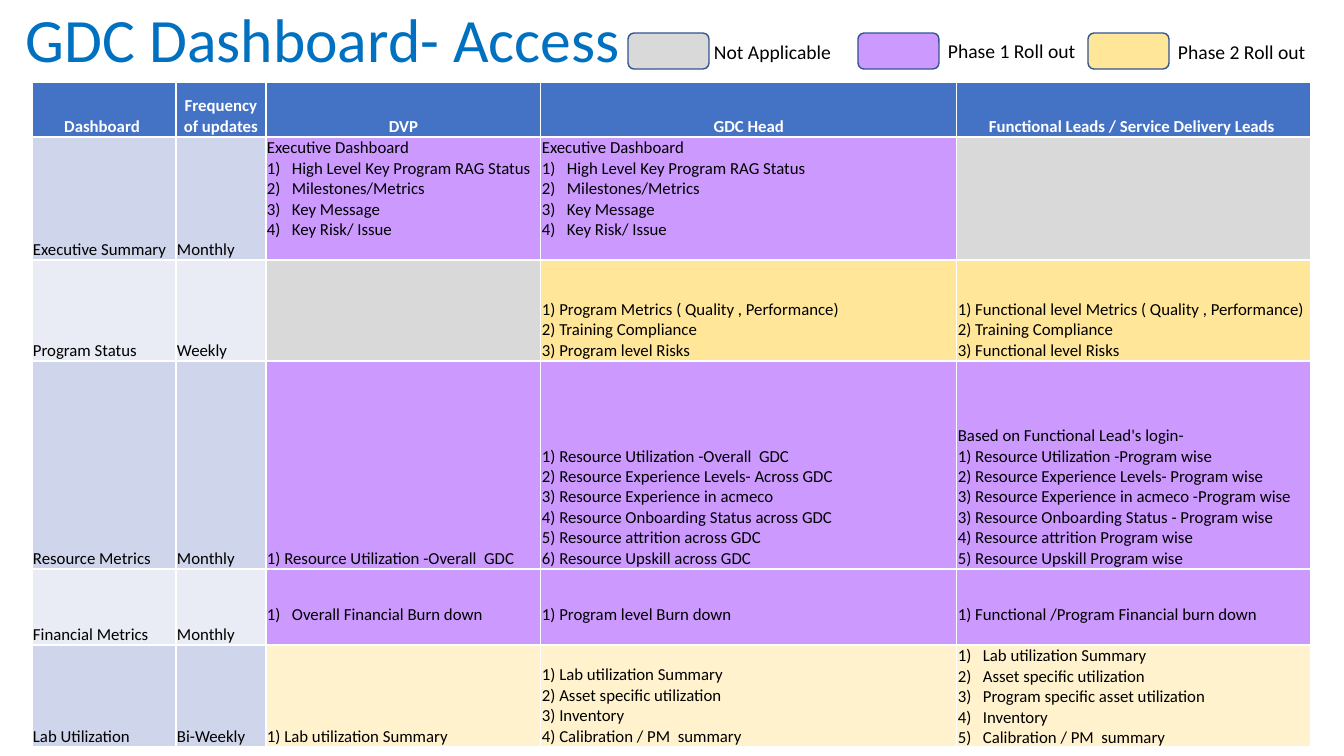
"""Build the GDC dashboard access slide."""
from collections import namedtuple
from dataclasses import dataclass

from lxml import etree
from pptx import Presentation, util as u
from pptx.dml.color import RGBColor
from pptx.enum import shapes, text
from pptx.oxml.ns import qn


@dataclass(frozen=True)
class Theme:
    font: str = "Calibri"
    title: str = "0070C0"
    header: str = "4472C4"
    white: str = "FFFFFF"
    ink: str = "000000"
    outline: str = "325491"
    unused: str = "D9D9D9"
    phase_1: str = "CC99FF"
    phase_2: str = "FFE699"
    phase_2_light: str = "FFF2CC"
    bands: tuple = ("CFD5EA", "E9EBF5")
    title_size: int = 44
    legend_size: int = 14
    table_size: int = 12


THEME = Theme()
Cell = namedtuple("Cell", "fill lines numbered lift", defaults=((), (), 0))
LINE_GAP = 20
NUMBER_INDENT = 25

TITLE = "GDC Dashboard- Access"
LEGEND = [
    ("Not Applicable", THEME.unused, (704, 35, 139)),
    ("Phase 1 Roll out", THEME.phase_1, (938, 34, 149)),
    ("Phase 2 Roll out", THEME.phase_2, (1168, 35, 149)),
]
LEGEND_LEFT, LEGEND_STEP = 628, 230
HEADINGS = ["Dashboard ", "Frequency of updates", "DVP", "GDC Head",
            "Functional Leads / Service Delivery Leads "]
COLUMN_WIDTHS = [144, 90, 275, 416, 354]
ROW_HEIGHTS = [55, 123, 101, 208, 76, 102]
NOT_APPLICABLE = Cell(THEME.unused)
EXECUTIVE = Cell(
    THEME.phase_1, ["Executive Dashboard"],
    ["High Level Key Program RAG Status", "Milestones/Metrics", "Key Message", "Key Risk/ Issue"],
    LINE_GAP)
ROWS = [
    ("Executive Summary", "Monthly", [EXECUTIVE, EXECUTIVE, NOT_APPLICABLE]),
    ("Program Status", "Weekly", [
        NOT_APPLICABLE,
        Cell(THEME.phase_2, ["1) Program Metrics ( Quality , Performance)",
                             "2) Training Compliance", "3) Program level Risks"]),
        Cell(THEME.phase_2, ["1) Functional level Metrics ( Quality , Performance)",
                             "2) Training Compliance", "3) Functional level Risks"]),
    ]),
    ("Resource Metrics", "Monthly", [
        Cell(THEME.phase_1, ["1) Resource Utilization -Overall  GDC"]),
        Cell(THEME.phase_1, ["1) Resource Utilization -Overall  GDC",
                             "2) Resource Experience Levels- Across GDC",
                             "3) Resource Experience in acmeco",
                             "4) Resource Onboarding Status across GDC",
                             "5) Resource attrition across GDC",
                             "6) Resource Upskill across GDC"]),
        Cell(THEME.phase_1, ["Based on Functional Lead's login-",
                             "1) Resource Utilization -Program wise",
                             "2) Resource Experience Levels- Program wise",
                             "3) Resource Experience in acmeco -Program wise",
                             "3) Resource Onboarding Status - Program wise",
                             "4) Resource attrition Program wise",
                             "5) Resource Upskill Program wise"]),
    ]),
    ("Financial Metrics", "Monthly", [
        Cell(THEME.phase_1, numbered=["Overall Financial Burn down"], lift=LINE_GAP),
        Cell(THEME.phase_1, ["1) Program level Burn down"], lift=LINE_GAP),
        Cell(THEME.phase_1, ["1) Functional /Program Financial burn down"], lift=LINE_GAP),
    ]),
    ("Lab Utilization", "Bi-Weekly", [
        Cell(THEME.phase_2_light, ["1) Lab utilization Summary"]),
        Cell(THEME.phase_2_light, ["1) Lab utilization Summary", "2) Asset specific utilization",
                                   "3) Inventory", "4) Calibration / PM  summary"]),
        Cell(THEME.phase_2_light, numbered=[
            "Lab utilization Summary", "Asset specific utilization",
            "Program specific asset utilization", "Inventory", "Calibration / PM  summary"]),
    ]),
]


def px(length):
    return u.Emu(round(length * 914400 / 100.8))


def assign(target, values):
    for name, value in values.items():
        setattr(target, name, value)


def paint(fill, color):
    fill.solid()
    fill.fore_color.rgb = RGBColor.from_string(color)


def write(paragraph, words, size, color, bold=False):
    run = paragraph.add_run()
    run.text = words
    assign(run.font, {"name": THEME.font, "size": u.Pt(size), "bold": bold})
    run.font.color.rgb = RGBColor.from_string(color)


def number(paragraph):
    properties = paragraph._p.get_or_add_pPr()
    indent = px(NUMBER_INDENT)
    properties.set("marL", str(indent))
    properties.set("indent", str(-indent))
    etree.SubElement(properties, qn("a:buFont"), typeface="+mj-lt")
    etree.SubElement(properties, qn("a:buAutoNum"), type="arabicParenR")


def add_label(slide, box, words, size, color, wrap, anchor):
    frame = slide.shapes.add_textbox(*map(px, box)).text_frame
    assign(frame, {"word_wrap": wrap, "vertical_anchor": anchor})
    write(frame.paragraphs[0], words, size, color)
    return frame.paragraphs[0]


def add_legend(slide):
    for index, (words, color, (left, top, width)) in enumerate(LEGEND):
        box = (LEGEND_LEFT + index * LEGEND_STEP, 33, 81, 36)
        swatch = slide.shapes.add_shape(shapes.MSO_SHAPE.ROUNDED_RECTANGLE, *map(px, box))
        swatch.shadow.inherit = False
        paint(swatch.fill, color)
        paint(swatch.line.fill, THEME.outline)
        swatch.line.width = u.Pt(1)
        add_label(slide, (left, top, width, 34), words, THEME.legend_size, THEME.ink,
                  False, text.MSO_ANCHOR.TOP)


def fill_cell(cell, content, heading=False):
    paint(cell.fill, content.fill)
    assign(cell, {"margin_left": px(1), "margin_right": px(1), "margin_top": px(1),
                  "margin_bottom": px(content.lift),
                  "vertical_anchor": text.MSO_ANCHOR.BOTTOM})
    frame = cell.text_frame
    entries = [(line, False) for line in content.lines]
    entries += [(line, True) for line in content.numbered]
    for index, (line, numbered) in enumerate(entries):
        paragraph = frame.add_paragraph() if index else frame.paragraphs[0]
        if heading:
            paragraph.alignment = text.PP_ALIGN.CENTER
        if numbered:
            number(paragraph)
        write(paragraph, line, THEME.table_size, THEME.white if heading else THEME.ink, heading)


def add_access_table(slide):
    box = (32, 82, sum(COLUMN_WIDTHS), sum(ROW_HEIGHTS))
    table = slide.shapes.add_table(len(ROW_HEIGHTS), len(COLUMN_WIDTHS), *map(px, box)).table
    for column, width in zip(table.columns, COLUMN_WIDTHS):
        column.width = px(width)
    for row, height in zip(table.rows, ROW_HEIGHTS):
        row.height = px(height)
    for index, heading in enumerate(HEADINGS):
        fill_cell(table.cell(0, index), Cell(THEME.header, [heading]), heading=True)
    for row, (dashboard, frequency, access) in enumerate(ROWS, 1):
        band = THEME.bands[(row - 1) % 2]
        contents = [Cell(band, [dashboard]), Cell(band, [frequency]), *access]
        for index, content in enumerate(contents):
            fill_cell(table.cell(row, index), content)


def main():
    presentation = Presentation()
    assign(presentation, {"slide_width": px(1344), "slide_height": px(756)})
    slide = presentation.slides.add_slide(presentation.slide_layouts[6])
    title = add_label(slide, (16, 0, 1159, 85), TITLE, THEME.title_size, THEME.title,
                      True, text.MSO_ANCHOR.MIDDLE)
    title.line_spacing = 0.9
    add_access_table(slide)
    add_legend(slide)
    presentation.save("out.pptx")


if __name__ == "__main__":
    main()
